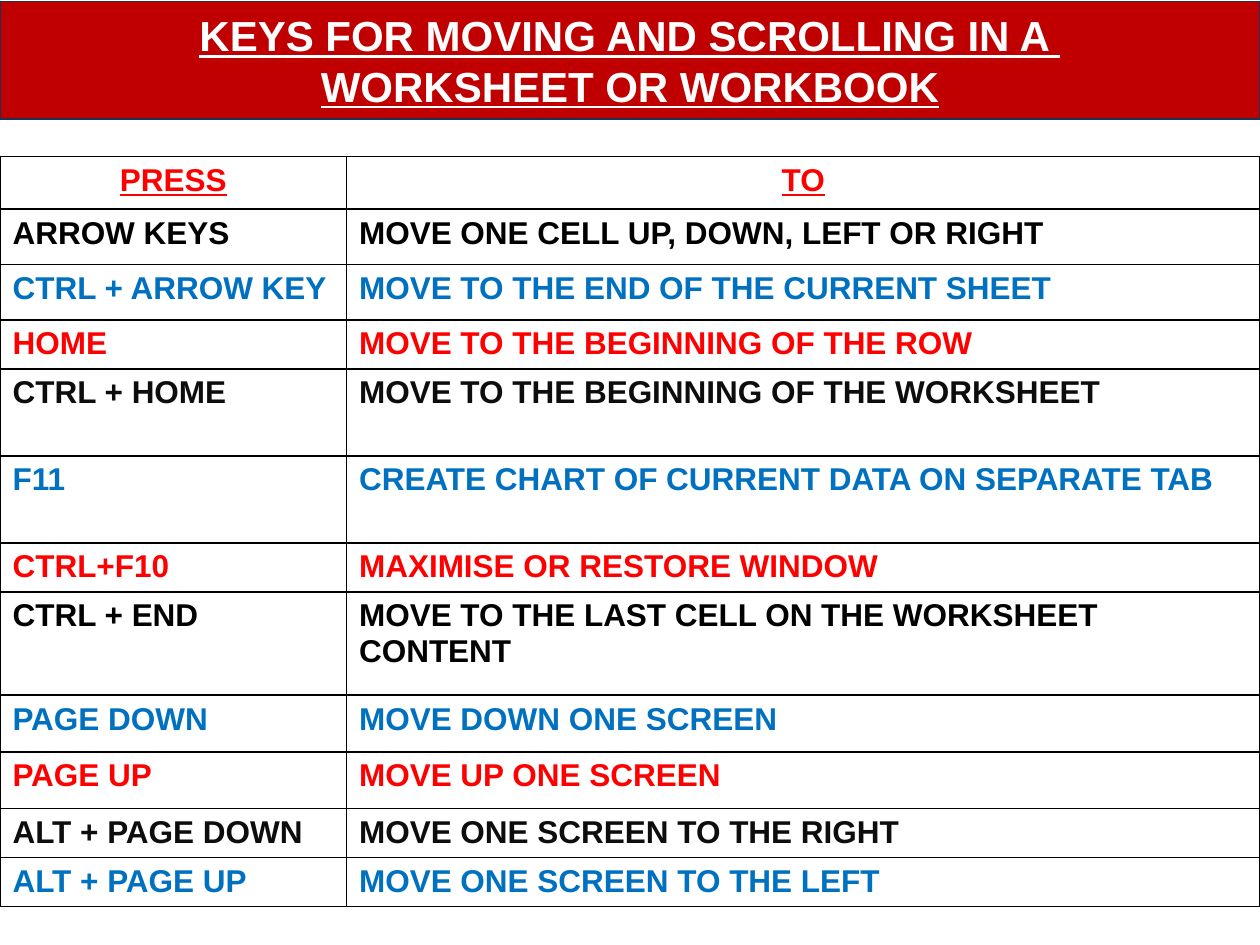
from lxml import etree
from pptx import Presentation
from pptx import util as u
from pptx.dml.color import RGBColor
from pptx.enum import text
from pptx.oxml import ns

Pt = u.Pt
COLORS = {
    "banner": "C00000", "banner_line": "1E3256", "white": "FFFFFF",
    "red": "FF0000", "blue": "0070C0", "black": "000000", "soft_black": "0D0D0D",
}
TITLE = ["KEYS FOR MOVING AND SCROLLING IN A ", "WORKSHEET OR WORKBOOK"]
HEADERS = ("PRESS", "TO")
HEADER_HEIGHT = 30.24
COLUMN_WIDTHS = (198, 522)
# Key, action, colour, row height
KEYS = [
    ("ARROW KEYS", "MOVE ONE CELL UP, DOWN, LEFT OR RIGHT", "black", 31.7),
    ("CTRL + ARROW KEY", "MOVE TO THE END OF THE CURRENT SHEET", "blue", 31.7),
    ("HOME", "MOVE TO THE BEGINNING OF THE ROW", "red", 28),
    ("CTRL + HOME", "MOVE TO THE BEGINNING OF THE WORKSHEET", "soft_black", 49.7),
    ("F11", "CREATE CHART OF CURRENT DATA ON SEPARATE TAB", "blue", 49.7),
    ("CTRL+F10", "MAXIMISE OR RESTORE WINDOW", "red", 28),
    ("CTRL + END", "MOVE TO THE LAST CELL ON THE WORKSHEET CONTENT", "black", 59),
    ("PAGE DOWN", "MOVE DOWN ONE SCREEN", "blue", 32.4),
    ("PAGE UP", "MOVE UP ONE SCREEN", "red", 32.4),
    ("ALT + PAGE DOWN", "MOVE ONE SCREEN TO THE RIGHT", "soft_black", 28),
    ("ALT + PAGE UP", "MOVE ONE SCREEN TO THE LEFT", "blue", 28),
]


def rgb(name):
    return RGBColor.from_string(COLORS[name])


def format_paragraph(para, size, color, heading=False):
    """Set bold Arial; a heading is also centred and underlined."""
    para.alignment = text.PP_ALIGN.CENTER if heading else text.PP_ALIGN.LEFT
    font = para.font
    font.name, font.size, font.bold = "Arial", Pt(size), True
    font.underline = heading
    font.color.rgb = rgb(color)


def add_banner(page):
    banner = page.shapes.title
    banner.left, banner.top, banner.width, banner.height = Pt(0), Pt(0.9), Pt(720), Pt(67)
    banner.fill.solid()
    banner.fill.fore_color.rgb = rgb("banner")
    banner.line.color.rgb = rgb("banner_line")
    banner.line.width = Pt(1)
    frame = banner.text_frame
    frame.text = "\n".join(TITLE)
    frame.word_wrap = True
    frame.auto_size = text.MSO_AUTO_SIZE.NONE
    frame.vertical_anchor = text.MSO_ANCHOR.MIDDLE
    for para in frame.paragraphs:
        format_paragraph(para, 24, "white", heading=True)


def add_borders(cell):
    properties = cell._tc.get_or_add_tcPr()
    for position, side in enumerate(("lnL", "lnR", "lnT", "lnB")):
        line = etree.Element(ns.qn(f"a:{side}"), w=str(Pt(1)))
        fill = etree.SubElement(line, ns.qn("a:solidFill"))
        etree.SubElement(fill, ns.qn("a:srgbClr"), val=COLORS["black"])
        properties.insert(position, line)


def fill_row(row, words, color, height, heading=False):
    row.height = Pt(height)
    for cell, word in zip(row.cells, words):
        cell.text = word
        cell.fill.background()
        add_borders(cell)
        format_paragraph(cell.text_frame.paragraphs[0], 18, color, heading)


def add_key_table(page):
    frame = page.shapes.add_table(len(KEYS) + 1, len(HEADERS), Pt(0), Pt(89.3), Pt(720), Pt(429))
    table = frame.table
    for column, width in zip(table.columns, COLUMN_WIDTHS):
        column.width = Pt(width)
    fill_row(table.rows[0], HEADERS, "red", HEADER_HEIGHT, heading=True)
    for index, (key, action, color, height) in enumerate(KEYS, start=1):
        fill_row(table.rows[index], (key, action), color, height)


def main():
    deck = Presentation()
    deck.slide_width, deck.slide_height = Pt(720), Pt(540)
    title_only = deck.slide_layouts[5]
    page = deck.slides.add_slide(title_only)
    add_banner(page)
    add_key_table(page)
    deck.save("out.pptx")


if __name__ == "__main__":
    main()
